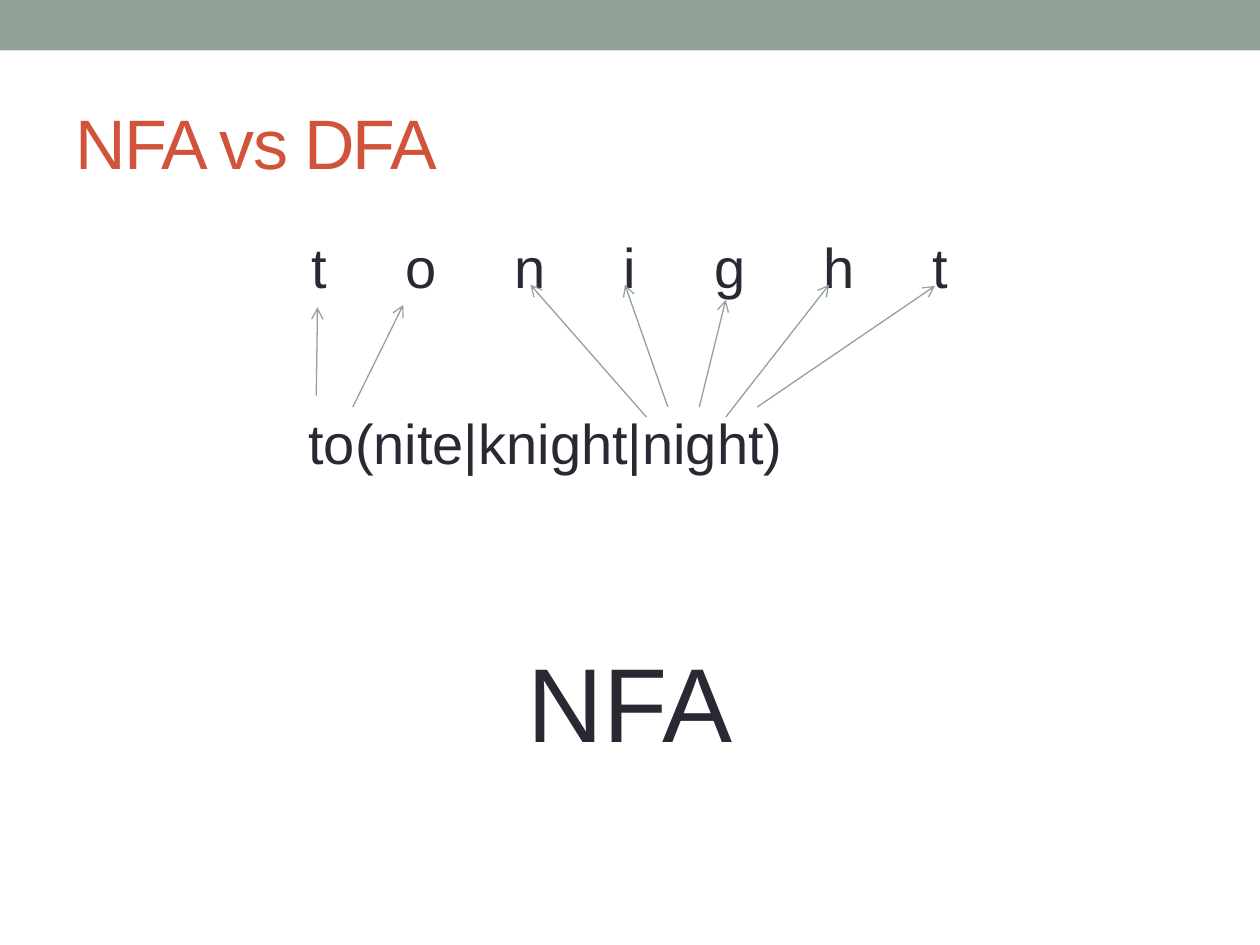
from lxml.etree import SubElement
from pptx import Presentation
from pptx.dml.color import RGBColor
from pptx.enum.shapes import MSO_CONNECTOR, MSO_SHAPE
from pptx.enum.text import MSO_ANCHOR, PP_ALIGN
from pptx.oxml.ns import qn
from pptx.util import Inches, Pt

SAGE, RUST, INK = "93A299", "D2533C", "292934"
WORD = "tonight"
PATTERN = "to(nite|knight|night)"
LETTER_SIZE = 32
LETTER_EMS = {"t": 0.278, "o": 0.556, "n": 0.556, "i": 0.222, "g": 0.556, "h": 0.556}
LETTER_GAP = 0.62
INSET = 0.1

# From a pattern character to the letter it matches: (x, y), (x, y)
MATCHES = [
    ((2.51, 3.14), (2.52, 2.44)),
    ((2.8, 3.23), (3.2, 2.42)),
    ((5.13, 3.31), (4.21, 2.26)),
    ((5.3, 3.23), (4.96, 2.26)),
    ((5.55, 3.23), (5.76, 2.38)),
    ((5.76, 3.31), (6.58, 2.26)),
    ((6.01, 3.23), (7.42, 2.27)),
]


def rgb(color):
    """Turn a hex string into a colour."""
    return RGBColor.from_string(color)


def add_text(slide, text, box, size, color=INK, align=PP_ALIGN.LEFT, anchor=MSO_ANCHOR.TOP):
    """Add a one-paragraph text box and return its paragraph."""
    frame = slide.shapes.add_textbox(*map(Inches, box)).text_frame
    frame.word_wrap = True
    frame.vertical_anchor = anchor
    paragraph = frame.paragraphs[0]
    paragraph.text = text
    paragraph.alignment = align
    font = paragraph.runs[0].font
    font.name, font.size = "Arial", Pt(size)
    font.color.rgb = rgb(color)
    return paragraph


def add_spaced_word(slide, word, top):
    """Spread the letters of a word with equal gaps, centred on the slide."""
    widths = [LETTER_EMS[letter] * LETTER_SIZE / 72 for letter in word]
    total = sum(widths) + LETTER_GAP * (len(word) - 1)
    box = (5 - total / 2 - INSET, top, total + 4 * INSET, 0.6)
    paragraph = add_text(slide, "\t".join(word), box, LETTER_SIZE)
    tabs = SubElement(paragraph._p.get_or_add_pPr(), qn("a:tabLst"))
    position = 0
    for width in widths[:-1]:
        position += width + LETTER_GAP
        SubElement(tabs, qn("a:tab"), pos=str(Inches(position)), algn="l")


def add_arrow(slide, start, end):
    """Draw a thin line with an open arrowhead at its end."""
    arrow = slide.shapes.add_connector(
        MSO_CONNECTOR.STRAIGHT, *map(Inches, start + end))
    arrow.line.color.rgb = rgb(SAGE)
    arrow.line.width = Pt(0.75)
    SubElement(arrow.line._get_or_add_ln(), qn("a:tailEnd"), type="arrow")
    SubElement(arrow._element.spPr, qn("a:effectLst"))


prs = Presentation()
prs.slide_width, prs.slide_height = Inches(10), Inches(7.5)
slide = prs.slides.add_slide(prs.slide_layouts[6])

band = slide.shapes.add_shape(MSO_SHAPE.RECTANGLE, 0, 0, prs.slide_width, Inches(0.4))
band.shadow.inherit = False
band.fill.solid()
band.fill.fore_color.rgb = rgb(SAGE)
band.line.fill.background()

title = add_text(slide, "NFA vs DFA", (0.5, 0.58, 9, 1.08), 40, RUST,
                 anchor=MSO_ANCHOR.MIDDLE)
title.runs[0].font._element.set("spc", "-100")

add_spaced_word(slide, WORD, 1.8)
add_text(slide, PATTERN, (2.35, 3.19, 4, 0.6), LETTER_SIZE)
add_text(slide, "NFA", (0.5, 5.01, 9, 1.06), 60, align=PP_ALIGN.CENTER)
for start, end in MATCHES:
    add_arrow(slide, start, end)

prs.save("out.pptx")
